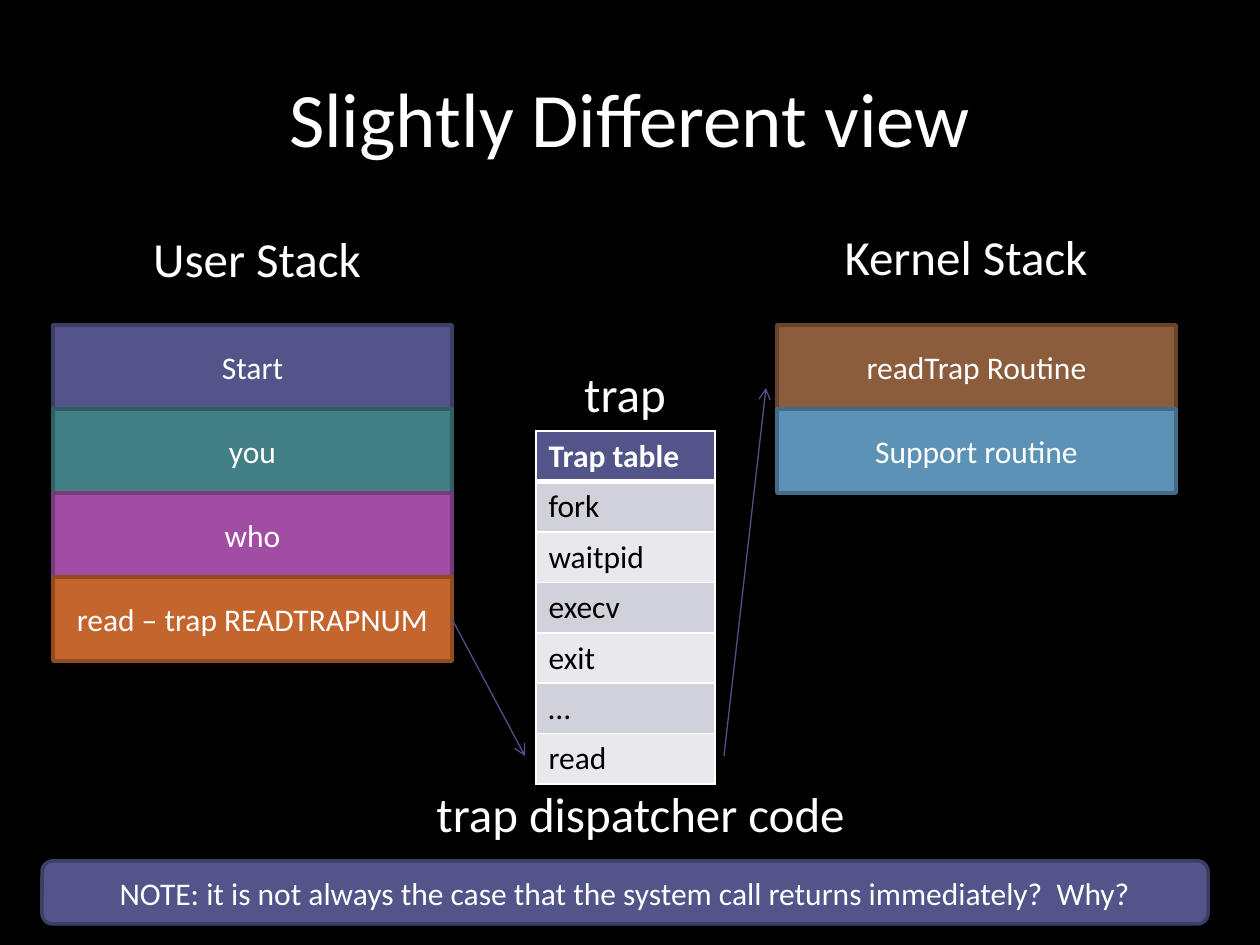
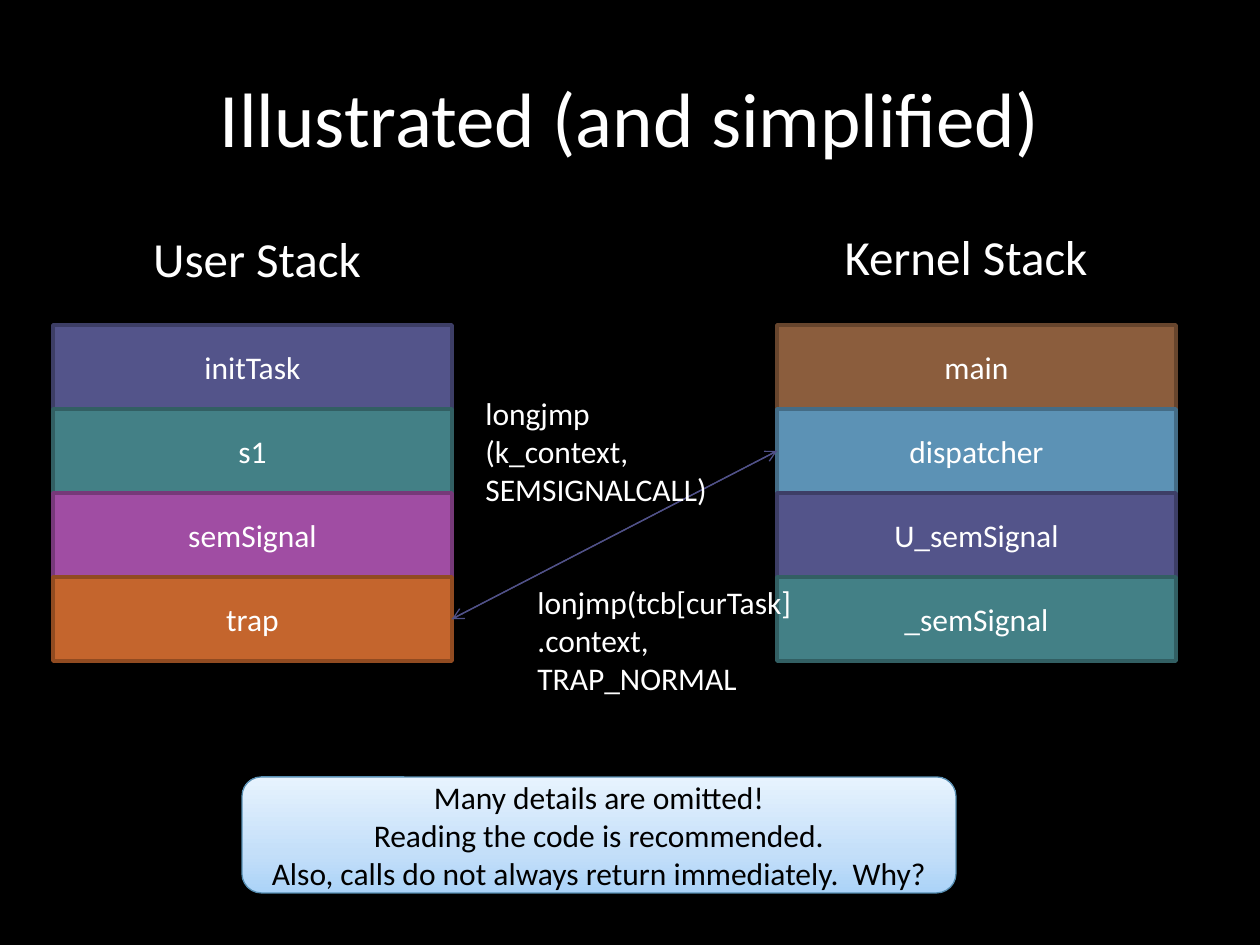
from copy import deepcopy
from lxml import etree
from pptx import Presentation
from pptx import util as u
from pptx.dml.color import RGBColor
from pptx.enum import shapes, text
from pptx.oxml import parse_xml
from pptx.oxml.ns import nsdecls, qn

PX = 914400 / 126
BLACK = RGBColor(0x00, 0x00, 0x00)
WHITE = RGBColor(0xFF, 0xFF, 0xFF)
ARROW = RGBColor(0x50, 0x51, 0x88)
INDIGO = RGBColor(0x53, 0x54, 0x8A), RGBColor(0x3D, 0x3E, 0x66)
TEAL = RGBColor(0x43, 0x80, 0x86), RGBColor(0x32, 0x5F, 0x63)
PURPLE = RGBColor(0xA0, 0x4D, 0xA3), RGBColor(0x76, 0x39, 0x79)
ORANGE = RGBColor(0xC4, 0x65, 0x2D), RGBColor(0x91, 0x4B, 0x21)
BROWN = RGBColor(0x8B, 0x5D, 0x3D), RGBColor(0x67, 0x45, 0x2D)
SKY = RGBColor(0x5C, 0x92, 0xB5), RGBColor(0x44, 0x6C, 0x86)
ROW_DARK = RGBColor(0xD1, 0xD1, 0xDA)
ROW_LIGHT = RGBColor(0xE9, 0xE9, 0xED)
SUMMARY_LINE = RGBColor(0x58, 0x8F, 0xB3)
SUMMARY_STOPS = [(0, RGBColor(0xAB, 0xD3, 0xF8)),
                 (0.35, RGBColor(0xC4, 0xDF, 0xF9)),
                 (1, RGBColor(0xE7, 0xF3, 0xFE))]
LEFT, CENTER = text.PP_ALIGN.LEFT, text.PP_ALIGN.CENTER
MIDDLE = text.MSO_ANCHOR.MIDDLE
BOX, ROUNDED = shapes.MSO_SHAPE.FLOWCHART_PROCESS, shapes.MSO_SHAPE.ROUNDED_RECTANGLE
STACK_TOP, STACK_WIDTH, FRAME_HEIGHT = 325, 399, 84
TABLE_ROW = 50


def write(frame, content, size=18, color=WHITE, align=CENTER, bold=False):
    frame.word_wrap = True
    frame.text = content
    for line in frame.paragraphs:
        line.alignment = align
        line.font.name = "Calibri"
        line.font.size = u.Pt(size)
        line.font.bold = bold
        line.font.color.rgb = color


def add_block(slide, kind, area, content, colors, color=WHITE):
    block = slide.shapes.add_shape(kind, *[u.Emu(round(n * PX)) for n in area])
    block.shadow.inherit = False
    block.fill.solid()
    block.fill.fore_color.rgb, block.line.color.rgb = colors
    block.line.width = u.Pt(2)
    block.text_frame.vertical_anchor = MIDDLE
    write(block.text_frame, content, color=color)
    return block


USER_COLORS = [INDIGO, TEAL, PURPLE, ORANGE]
KERNEL_COLORS = [BROWN, SKY, INDIGO, TEAL]
HEADINGS = [((136, 222, 242, 72), "User Stack", 28, CENTER),
            ((798, 220, 336, 72), "Kernel Stack", 28, CENTER)]
CALL_START, CALL_END = (452, 619), (777, 451)

pages = [
    {"title": "Slightly Different view",
     "user": ["Start", "you", "who", "read – trap READTRAPNUM"],
     "kernel": ["readTrap Routine", "Support routine"],
     "arrows": [(CALL_START, (525, 756), ("user", 3), None),
                ((724, 756), (766, 388), None, None)],
     "labels": [((504, 357, 242, 72), "trap", 28, CENTER),
                ((378, 777, 525, 72), "trap dispatcher code", 28, CENTER)]},
    {"title": "Illustrated (and simplified)",
     "user": ["initTask", "s1", "semSignal", "trap"],
     "kernel": ["main", "dispatcher", "U_semSignal", "_semSignal"],
     "arrows": [(CALL_START, CALL_END, ("user", 3), ("kernel", 1)),
                (CALL_END, CALL_START, ("kernel", 1), ("user", 3))],
     "labels": [((473, 388, 262, 127), "longjmp (k_context, SEMSIGNALCALL)", 18, LEFT),
                ((525, 577, 357, 127),
                 "lonjmp(tcb[curTask]\n.context,\nTRAP_NORMAL", 18, LEFT)]},
]

prs = Presentation()
prs.slide_width, prs.slide_height = u.Inches(10), u.Inches(7.5)
slides = []

for page in pages:
    slide = prs.slides.add_slide(prs.slide_layouts[6])
    slides.append(slide)
    slide.background.fill.solid()
    slide.background.fill.fore_color.rgb = BLACK

    frames = {}
    for stack, left, palette in [("user", 53, USER_COLORS), ("kernel", 777, KERNEL_COLORS)]:
        for level, (name, colors) in enumerate(zip(page[stack], palette)):
            area = left, STACK_TOP + level * FRAME_HEIGHT, STACK_WIDTH, FRAME_HEIGHT
            frames[stack, level] = add_block(slide, BOX, area, name, colors)
    joints = {"user": frames["user", 3], "kernel": frames["kernel", 1]}
    sides = {"user": 3, "kernel": 1}

    for start, end, source, target in page["arrows"]:
        arrow = slide.shapes.add_connector(
            shapes.MSO_CONNECTOR.STRAIGHT, *[u.Emu(round(n * PX)) for n in start + end])
        if source:
            arrow.begin_connect(joints[source[0]], sides[source[0]])
        if target:
            arrow.end_connect(joints[target[0]], sides[target[0]])
        arrow.line.color.rgb = ARROW
        arrow.line.width = u.Pt(0.75)
        etree.SubElement(arrow.line._get_or_add_ln(), qn("a:tailEnd"), type="arrow")
        etree.SubElement(arrow._element.spPr, qn("a:effectLst"))

    title = ((63, 38, 1134, 158), page["title"], 44, CENTER)
    for area, content, size, align in [title] + HEADINGS + page["labels"]:
        label = slide.shapes.add_textbox(*[u.Emu(round(n * PX)) for n in area])
        write(label.text_frame, content, size, align=align)
        if size == 44:
            label.text_frame.vertical_anchor = MIDDLE

trap_view, call_view = slides
calls = ["Trap table", "fork", "waitpid", "execv", "exit", "…", "read"]
table_area = 536, 431, 179, TABLE_ROW * len(calls)
trap_table = trap_view.shapes.add_table(
    len(calls), 1, *[u.Emu(round(n * PX)) for n in table_area]).table
for row, call in enumerate(calls):
    cell = trap_table.cell(row, 0)
    header = row == 0
    write(cell.text_frame, call, color=WHITE if header else BLACK, align=LEFT, bold=header)
    cell.fill.solid()
    cell.fill.fore_color.rgb = INDIGO[0] if header else ROW_DARK if row % 2 else ROW_LIGHT
    for position, side in enumerate("LRTB"):
        width = u.Pt(3 if (row, side) in [(0, "B"), (1, "T")] else 1)
        cell._tc.get_or_add_tcPr().insert(position, parse_xml(
            f'<a:ln{side} {nsdecls("a")} w="{width}"><a:solidFill>'
            f'<a:srgbClr val="{WHITE}"/></a:solidFill></a:ln{side}>'))

add_block(trap_view, ROUNDED, (42, 861, 1166, 63),
          "NOTE: it is not always the case that the system call returns immediately?  Why?",
          INDIGO)

summary = add_block(
    call_view, ROUNDED, (242, 777, 714, 116),
    "Many details are omitted!\nReading the code is recommended.\n"
    "Also, calls do not always return immediately.  Why?",
    (WHITE, SUMMARY_LINE), BLACK)
summary.line.width = u.Pt(0.75)
summary.fill.gradient()
summary.fill.gradient_angle = 90
first_stop = summary._element.spPr.find(".//" + qn("a:gs"))
first_stop.addnext(deepcopy(first_stop))
for stop, (position, color) in zip(summary.fill.gradient_stops, SUMMARY_STOPS):
    stop.position = position
    stop.color.rgb = color

prs.save("out.pptx")
